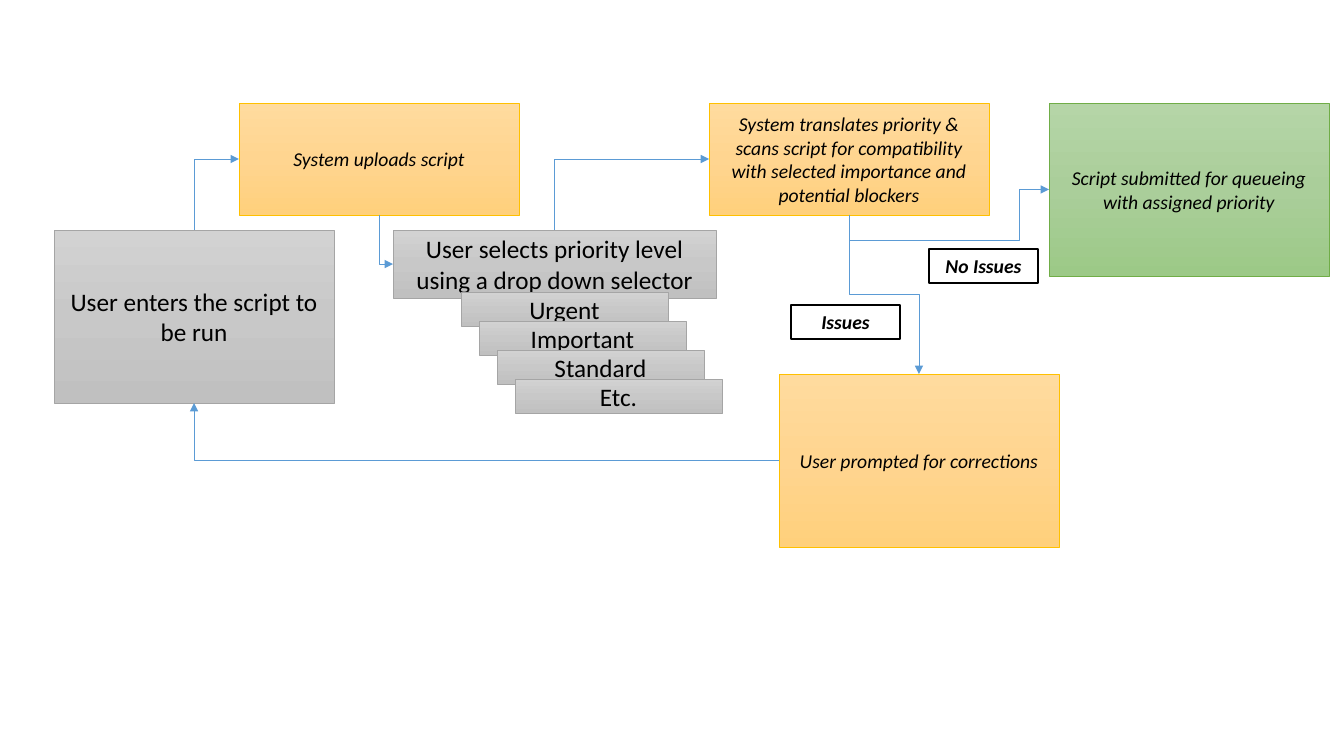
from copy import deepcopy

from lxml.etree import SubElement
from pptx import Presentation
from pptx.dml.color import RGBColor
from pptx.enum.shapes import MSO_CONNECTOR as Connector, MSO_SHAPE as Shape
from pptx.enum.text import MSO_ANCHOR as Anchor, PP_ALIGN as Align
from pptx.oxml.ns import qn
from pptx.util import Pt

PX = 914400 / 100.8
COLORS = {
    "black": "000000",
    "white": "FFFFFF",
    "gray": "A5A5A5",
    "gold": "FFC000",
    "green": "70AD47",
    "blue": "5B9BD5",
}
GRADIENTS = {
    "gray": ("D2D2D2", "C8C8C8", "C0C0C0"),
    "gold": ("FFDB9E", "FFD590", "FFD07C"),
    "green": ("B5D5A7", "AACE9A", "9CC987"),
}
TOP, LEFT, BOTTOM = 0, 1, 2


def px(value):
    return round(value * PX)


def add_box(shapes, text, color, left, top, width, height):
    shape = shapes.add_shape(Shape.RECTANGLE, px(left), px(top), px(width), px(height))
    shape.shadow.inherit = False
    shape.line.color.rgb = RGBColor.from_string(COLORS[color])
    if color in GRADIENTS:
        shape.line.width = Pt(0.5)
        shape.fill.gradient()
        shape.fill.gradient_angle = 270
        first_stop = shape._element.spPr.find(".//" + qn("a:gs"))
        first_stop.addnext(deepcopy(first_stop))
        for index, (stop, shade) in enumerate(zip(shape.fill.gradient_stops, GRADIENTS[color])):
            stop.position = index / 2
            stop.color.rgb = RGBColor.from_string(shade)
    else:
        shape.line.width = Pt(1)
        shape.fill.solid()
        shape.fill.fore_color.rgb = RGBColor.from_string(COLORS["white"])
    frame = shape.text_frame
    frame.word_wrap = True
    frame.vertical_anchor = Anchor.MIDDLE
    paragraph = frame.paragraphs[0]
    paragraph.alignment = Align.CENTER
    run = paragraph.add_run()
    run.text = text
    run.font.name = "Calibri"
    run.font.size = Pt(18 if color == "gray" else 14)
    run.font.italic = color != "gray"
    run.font.bold = color == "black"
    run.font.color.rgb = RGBColor.from_string(COLORS["black"])
    return shape


presentation = Presentation()
presentation.slide_width = px(1344)
presentation.slide_height = px(756)
slide = presentation.slides.add_slide(presentation.slide_layouts[6])
shapes = slide.shapes

enter = add_box(shapes, "User enters the script to be run", "gray", 54, 230, 280, 173)
select = add_box(shapes, "User selects priority level using a drop down selector",
                 "gray", 393, 230, 323, 68)

options = shapes.add_group_shape()
for index, level in enumerate(("Urgent", "Important", "Standard", "Etc.")):
    add_box(options.shapes, level, "gray", 461 + 18 * index, 292 + 29 * index, 207, 34)

upload = add_box(shapes, "System uploads script", "gold", 239, 103, 280, 112)
scan = add_box(
    shapes,
    "System translates priority & scans script for compatibility "
    "with selected importance and potential blockers",
    "gold", 709, 103, 280, 112)
correct = add_box(shapes, "User prompted for corrections", "gold", 779, 374, 280, 173)
submit = add_box(shapes, "Script submitted for queueing with assigned priority",
                 "green", 1049, 103, 280, 173)

links = (
    (enter, TOP, upload, LEFT, "bentConnector2", 90, "HV", ()),
    (upload, BOTTOM, select, LEFT, "bentConnector2", 270, "H", ()),
    (select, TOP, scan, LEFT, "bentConnector2", 90, "HV", ()),
    (scan, BOTTOM, submit, LEFT, "bentConnector4", 90, "HV", (-99100, 85100)),
    (scan, BOTTOM, correct, TOP, "bentConnector3", 270, "H", (50000,)),
    (correct, LEFT, enter, BOTTOM, "bentConnector2", 180, "", ()),
)
for source, source_site, target, target_site, bend, angle, flips, adjustments in links:
    connector = shapes.add_connector(Connector.ELBOW, 0, 0, 0, 0)
    connector.begin_connect(source, source_site)
    connector.end_connect(target, target_site)
    center_x = (connector.begin_x + connector.end_x) // 2
    center_y = (connector.begin_y + connector.end_y) // 2
    width, height = connector.width, connector.height
    if angle != 180:
        width, height = height, width
    connector.left, connector.top = center_x - width // 2, center_y - height // 2
    connector.width, connector.height = width, height

    properties = connector._element.spPr
    transform = properties.find(qn("a:xfrm"))
    transform.set("rot", str(angle * 60000))
    for axis in "HV":
        transform.set("flip" + axis, str(int(axis in flips)))
    geometry = properties.find(qn("a:prstGeom"))
    geometry.set("prst", bend)
    for number, value in enumerate(adjustments, 1):
        SubElement(geometry.find(qn("a:avLst")), qn("a:gd"),
                   name=f"adj{number}", fmla=f"val {value}")
    connector.line.color.rgb = RGBColor.from_string(COLORS["blue"])
    connector.line.width = Pt(0.5)
    SubElement(properties.find(qn("a:ln")), qn("a:tailEnd"), type="triangle")
    SubElement(properties, qn("a:effectLst"))

add_box(shapes, "No Issues", "black", 929, 249, 109, 34)
add_box(shapes, "Issues", "black", 791, 305, 109, 34)

presentation.save("out.pptx")
